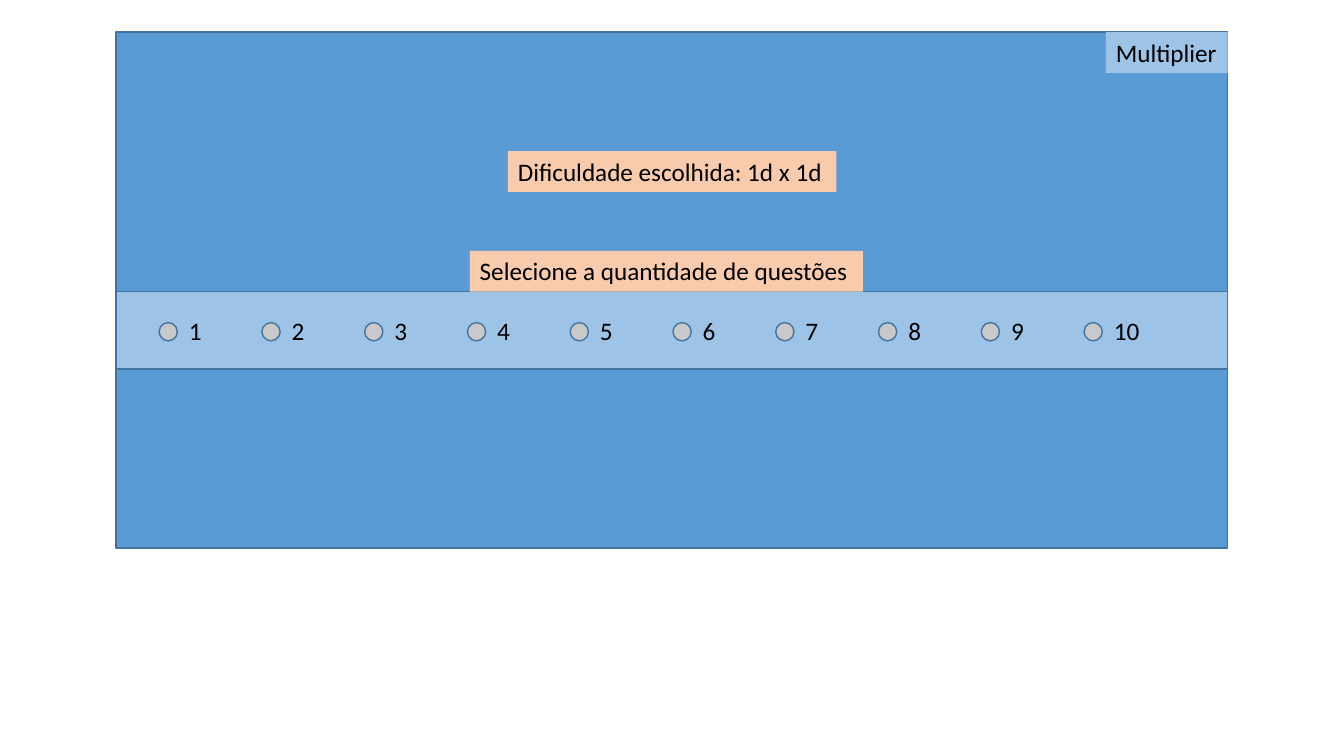
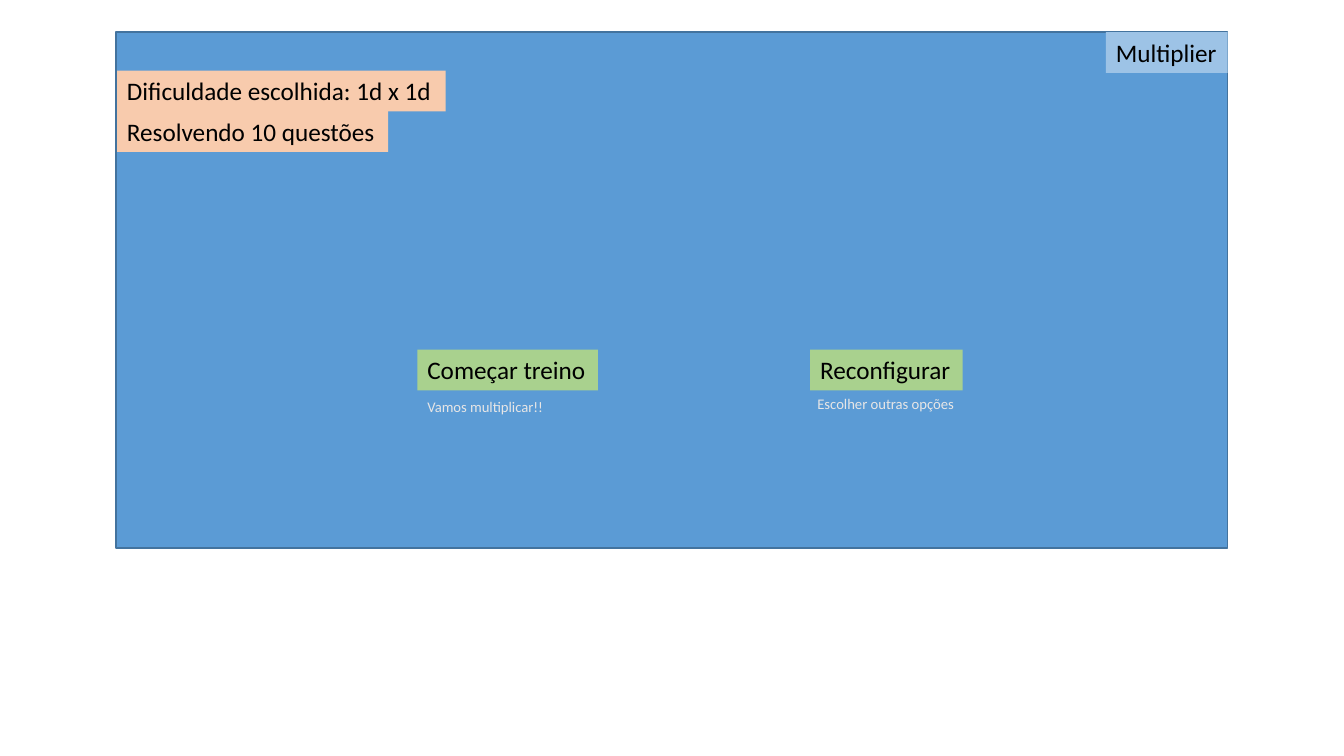
from pptx import Presentation
from pptx.dml.color import RGBColor
from pptx.enum import shapes, text
from pptx.util import Cm, Pt

# Content: (words, left, top, width) in cm
LEVEL = "Dificuldade escolhida: 1d x 1d"
TAG = "Multiplier"
COUNTS = range(1, 11)
ASKS = [
    (LEVEL, 12.8, 3.81, 8.28),
    ("Selecione a quantidade de questões", 11.84, 6.32, 9.91),
]
FACTS = [
    (LEVEL, 2.95, 1.78, 8.28),
    ("Resolvendo 10 questões", 2.95, 2.8, 6.83),
]
BUTTONS = [
    ("Começar treino", 10.52, 8.81, 4.55),
    ("Reconfigurar", 20.42, 8.81, 3.84),
]
HINTS = [
    ("Vamos multiplicar!!", 10.52, 9.91, 3.48),
    ("Escolher outras opções", 20.35, 9.83, 4.01),
]

# Shared style
BLUE = RGBColor(0x5B, 0x9B, 0xD5)
SKY = RGBColor(0x9D, 0xC3, 0xE6)
EDGE = RGBColor(0x43, 0x73, 0x9E)
PEACH = RGBColor(0xF8, 0xCB, 0xAD)
GREEN = RGBColor(0xA9, 0xD1, 0x8E)
GREY = RGBColor(0xC9, 0xC9, 0xC9)
PALE = RGBColor(0xE7, 0xE6, 0xE6)
BLACK = RGBColor(0, 0, 0)
FONT = "Calibri"
LEFT, TOP, WIDE, HIGH = 2.92, 0.81, 28.02, 13.0
ROW = 1.03
TAG_WIDE = 3.07

# Options strip
STRIP_TOP, STRIP_HIGH = 7.34, 1.96
DOT_LEFT, DOT_TOP, DOT, STEP = 4.01, 8.13, 0.46, 2.59
NUM_GAP, NUM_TOP = 0.5, 7.82


def box(home, kind, left, top, wide, high, fill):
    form = home.add_shape(kind, Cm(left), Cm(top), Cm(wide), Cm(high))
    form.shadow.inherit = False
    form.fill.solid()
    form.fill.fore_color.rgb = fill
    form.line.color.rgb = EDGE
    form.line.width = Pt(1)


def label(home, words, left, top, wide, fill=None, high=ROW, size=18, color=BLACK):
    form = home.add_textbox(Cm(left), Cm(top), Cm(wide), Cm(high))
    if fill is not None:
        form.fill.solid()
        form.fill.fore_color.rgb = fill
    frame = form.text_frame
    frame.text = words
    frame.word_wrap = False
    frame.auto_size = text.MSO_AUTO_SIZE.SHAPE_TO_FIT_TEXT
    font = frame.paragraphs[0].runs[0].font
    font.name, font.size = FONT, Pt(size)
    font.color.rgb = color


def screen(deck):
    home = deck.slides.add_slide(deck.slide_layouts[6]).shapes
    box(home, shapes.MSO_SHAPE.RECTANGLE, LEFT, TOP, WIDE, HIGH, BLUE)
    label(home, TAG, LEFT + WIDE - TAG_WIDE, TOP, TAG_WIDE, SKY)
    return home


deck = Presentation()
deck.slide_width, deck.slide_height = Cm(33.87), Cm(19.05)

# Slide 1: choose how many questions
home = screen(deck)
box(home, shapes.MSO_SHAPE.RECTANGLE, LEFT, STRIP_TOP, WIDE, STRIP_HIGH, SKY)
for ask in ASKS:
    label(home, *ask, PEACH)
for i, count in enumerate(COUNTS):
    left = DOT_LEFT + i * STEP
    wide = 0.84 if count < 10 else 1.17
    group = home.add_group_shape().shapes
    box(group, shapes.MSO_SHAPE.OVAL, left, DOT_TOP, DOT, DOT, GREY)
    label(group, str(count), left + NUM_GAP, NUM_TOP, wide)

# Slide 2: start or go back
home = screen(deck)
for button in BUTTONS:
    label(home, *button, GREEN)
for hint in HINTS:
    label(home, *hint, high=0.71, size=10.5, color=PALE)
for fact in FACTS:
    label(home, *fact, PEACH)

deck.save("out.pptx")
